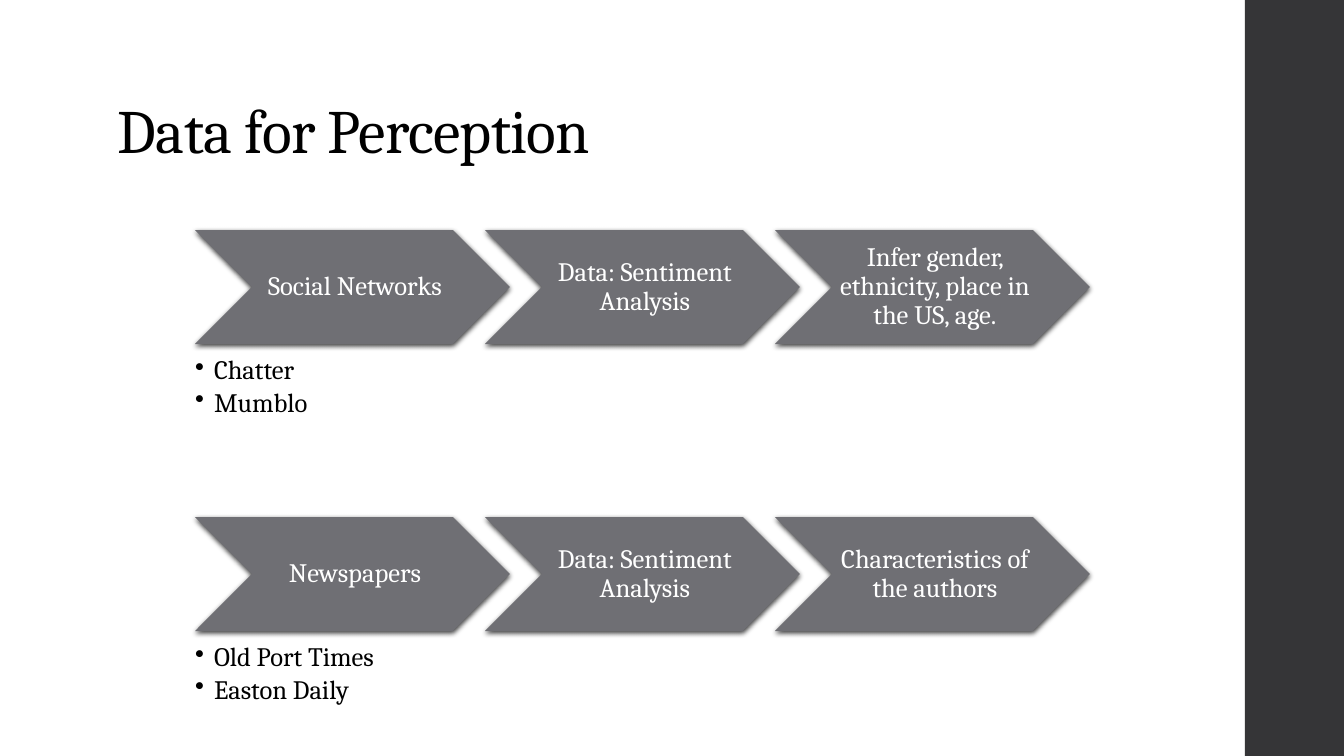
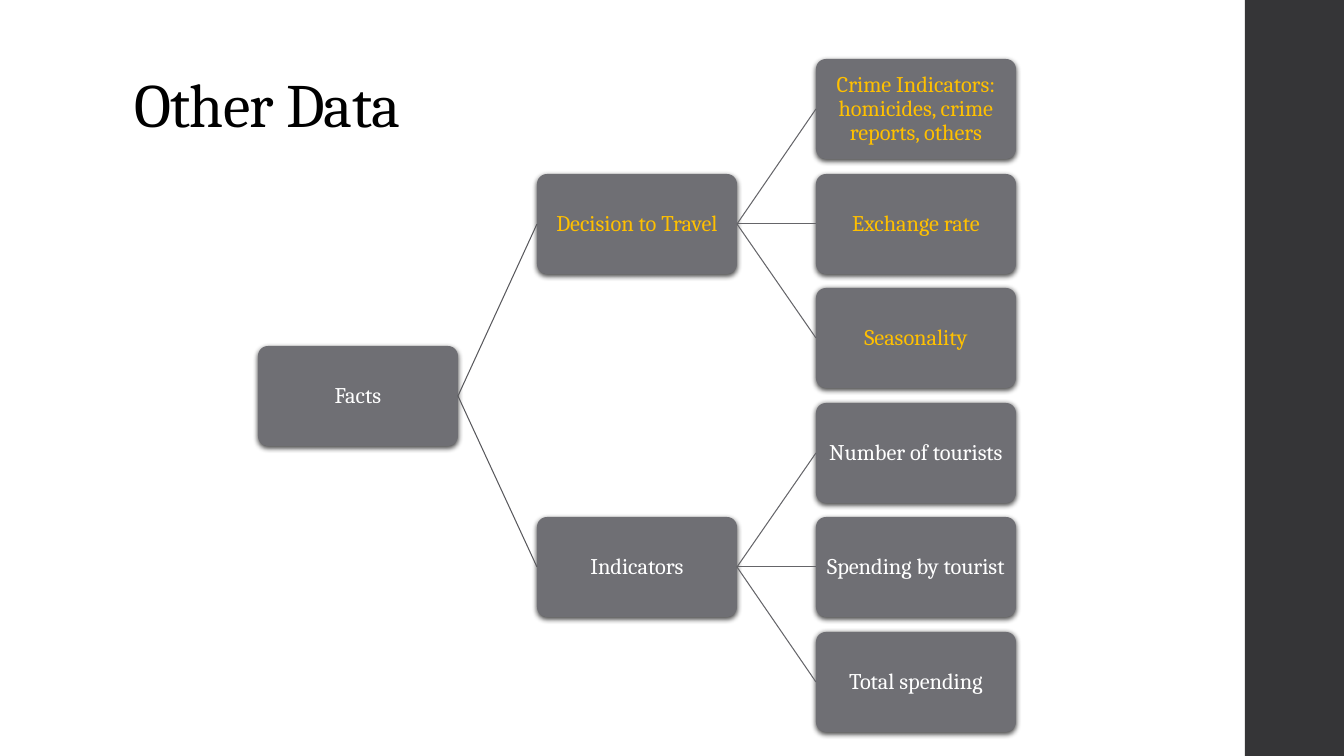
"""Build two slides: chevron processes for perception data and a tree of other data."""
import dataclasses
import typing

import lxml.etree
import pptx
import pptx.dml.color
import pptx.enum.shapes
import pptx.enum.text
import pptx.oxml.ns
import pptx.util

SHAPES = pptx.enum.shapes.MSO_SHAPE
ALIGN = pptx.enum.text.PP_ALIGN
ANCHOR = pptx.enum.text.MSO_ANCHOR
PAGE_WIDTH, PAGE_HEIGHT = 1344, 756
PIXEL = 914400 / 100.8


@dataclasses.dataclass(frozen=True)
class Theme:
    font: str = "Cambria"
    band: str = "353537"
    panel: str = "6F6F74"
    dark: str = "000000"
    light: str = "FFFFFF"
    accent: str = "FFC000"
    links: tuple[str, ...] = ("59595D", "656569")
    title_size: int = 44
    process_size: int = 19
    tree_size: int = 16
    line_width: float = 0.75


THEME = Theme()


class Area(typing.NamedTuple):
    left: int
    top: int
    width: int
    height: int


class Process(typing.NamedTuple):
    top: int
    steps: tuple[str, ...]
    sources: tuple[str, ...]


class Node(typing.NamedTuple):
    label: str
    color: str = THEME.light
    children: tuple["Node", ...] = ()


PROCESSES = (
    Process(
        230,
        ("Social Networks", "Data: Sentiment Analysis",
         "Infer gender, ethnicity, place in the US, age."),
        ("Chatter", "Mumblo"),
    ),
    Process(
        517,
        ("Newspapers", "Data: Sentiment Analysis", "Characteristics of the authors"),
        ("Old Port Times", "Easton Daily"),
    ),
)

FACTS = Node("Facts", children=(
    Node("Decision to Travel", THEME.accent, (
        Node("Crime Indicators: homicides, crime reports, others", THEME.accent),
        Node("Exchange rate", THEME.accent),
        Node("Seasonality", THEME.accent),
    )),
    Node("Indicators", children=(
        Node("Number of tourists"),
        Node("Spending by tourist"),
        Node("Total spending"),
    )),
))

STEP = Area(195, 230, 315, 114)
STEP_PITCH = 290
SOURCES_OFFSET = 127
BULLET_INDENT = 19
NODE = Area(258, 59, 200, 100)
COLUMN_PITCH = 279
ROW_PITCH = 114.6


def emu(pixels: float) -> pptx.util.Emu:
    return pptx.util.Emu(round(pixels * PIXEL))


def rgb(color: str) -> pptx.dml.color.RGBColor:
    return pptx.dml.color.RGBColor.from_string(color)


def add_element(parent, tag: str, **attributes: str):
    return lxml.etree.SubElement(parent, pptx.oxml.ns.qn(tag), attributes)


def write(
    frame,
    text: str,
    *,
    size: int,
    color: str,
    align: ALIGN = ALIGN.LEFT,
    anchor: ANCHOR = ANCHOR.TOP,
    insets: tuple[int, int, int, int] = (0, 0, 0, 0),
    space_after: int = 0,
    tracking: float = 0,
    bullet: str = "",
) -> None:
    frame.text = text
    frame.word_wrap = True
    frame.auto_size = pptx.enum.text.MSO_AUTO_SIZE.NONE
    frame.vertical_anchor = anchor
    frame.margin_left, frame.margin_top, frame.margin_right, frame.margin_bottom = map(emu, insets)
    for para in frame.paragraphs:
        para.alignment = align
        para.line_spacing = 0.9
        para.space_after = pptx.util.Pt(space_after)
        if bullet:
            properties = para._p.get_or_add_pPr()
            properties.set("marL", str(emu(BULLET_INDENT)))
            properties.set("indent", str(-emu(BULLET_INDENT)))
            add_element(properties, "a:buChar", char=bullet)
        for span in para.runs:
            span.font.name = THEME.font
            span.font.size = pptx.util.Pt(size)
            span.font.color.rgb = rgb(color)
            if tracking:
                span._r.get_or_add_rPr().set("spc", str(round(tracking * 100)))


def add_panel(page, kind: SHAPES, area: Area, color: str):
    panel = page.shapes.add_shape(kind, *map(emu, area))
    panel.shadow.inherit = False
    panel.fill.solid()
    panel.fill.fore_color.rgb = rgb(color)
    panel.line.fill.background()
    return panel


def add_soft_shadow(panel) -> None:
    effects = panel.element.spPr.find(pptx.oxml.ns.qn("a:effectLst"))
    shadow = add_element(
        effects, "a:outerShdw", blurRad=str(pptx.util.Pt(4)), dist=str(pptx.util.Pt(1.2)),
        dir="5400000", algn="ctr", rotWithShape="0",
    )
    tint = add_element(shadow, "a:srgbClr", val=THEME.dark)
    add_element(tint, "a:alpha", val="75000")


def add_page(deck, title: str, left: int, top: int):
    page = deck.slides.add_slide(deck.slide_layouts.get_by_name("Title Only"))
    box = page.shapes.title
    box.left, box.top, box.width, box.height = map(emu, Area(left, top, 1068, 146))
    write(box.text_frame, title, size=THEME.title_size, color=THEME.dark,
          anchor=ANCHOR.BOTTOM, insets=(10, 5, 10, 5), tracking=-0.5)
    return page


def move_band_to_layout(page) -> None:
    band = add_panel(page, SHAPES.RECTANGLE, Area(1245, 0, 99, PAGE_HEIGHT), THEME.band)
    page.slide_layout.shapes.element.insert(2, band.element)


def add_process(page, process: Process) -> None:
    for index, label in enumerate(process.steps):
        area = STEP._replace(left=STEP.left + index * STEP_PITCH, top=process.top)
        step = add_panel(page, SHAPES.CHEVRON, area, THEME.panel)
        add_soft_shadow(step)
        write(step.text_frame, label, size=THEME.process_size, color=THEME.light,
              align=ALIGN.CENTER, anchor=ANCHOR.MIDDLE, insets=(8, 3, 3, 3))
    area = Area(STEP.left, process.top + SOURCES_OFFSET, 251, 62)
    sources = page.shapes.add_textbox(*map(emu, area))
    write(sources.text_frame, "\n".join(process.sources), size=THEME.process_size,
          color=THEME.dark, space_after=3, bullet="•")


def add_link(page, parent, child, color: str) -> None:
    link = page.shapes.add_connector(pptx.enum.shapes.MSO_CONNECTOR.STRAIGHT, 0, 0, 0, 0)
    link.begin_connect(parent, 3)
    link.end_connect(child, 1)
    link.line.color.rgb = rgb(color)
    link.line.width = pptx.util.Pt(THEME.line_width)
    add_element(link.element.spPr, "a:effectLst")


def count_leaves(node: Node) -> int:
    return sum(map(count_leaves, node.children)) or 1


def add_branch(page, node: Node, first_row: int = 0, depth: int = 0):
    row = first_row + (count_leaves(node) - 1) / 2
    area = NODE._replace(left=NODE.left + depth * COLUMN_PITCH,
                         top=round(NODE.top + row * ROW_PITCH))
    panel = add_panel(page, SHAPES.ROUNDED_RECTANGLE, area, THEME.panel)
    panel.adjustments[0] = 0.1
    add_soft_shadow(panel)
    write(panel.text_frame, node.label, size=THEME.tree_size, color=node.color,
          align=ALIGN.CENTER, anchor=ANCHOR.MIDDLE, insets=(1, 1, 1, 1))
    for child in node.children:
        child_panel = add_branch(page, child, first_row, depth + 1)
        add_link(page, panel, child_panel, THEME.links[depth])
        first_row += count_leaves(child)
    return panel


def main() -> None:
    deck = pptx.Presentation()
    deck.slide_width, deck.slide_height = emu(PAGE_WIDTH), emu(PAGE_HEIGHT)
    perception = add_page(deck, "Data for Perception", 108, 26)
    move_band_to_layout(perception)
    for process in PROCESSES:
        add_process(perception, process)
    other = add_page(deck, "Other Data", 124, 0)
    add_branch(other, FACTS)
    deck.save("out.pptx")


main()
